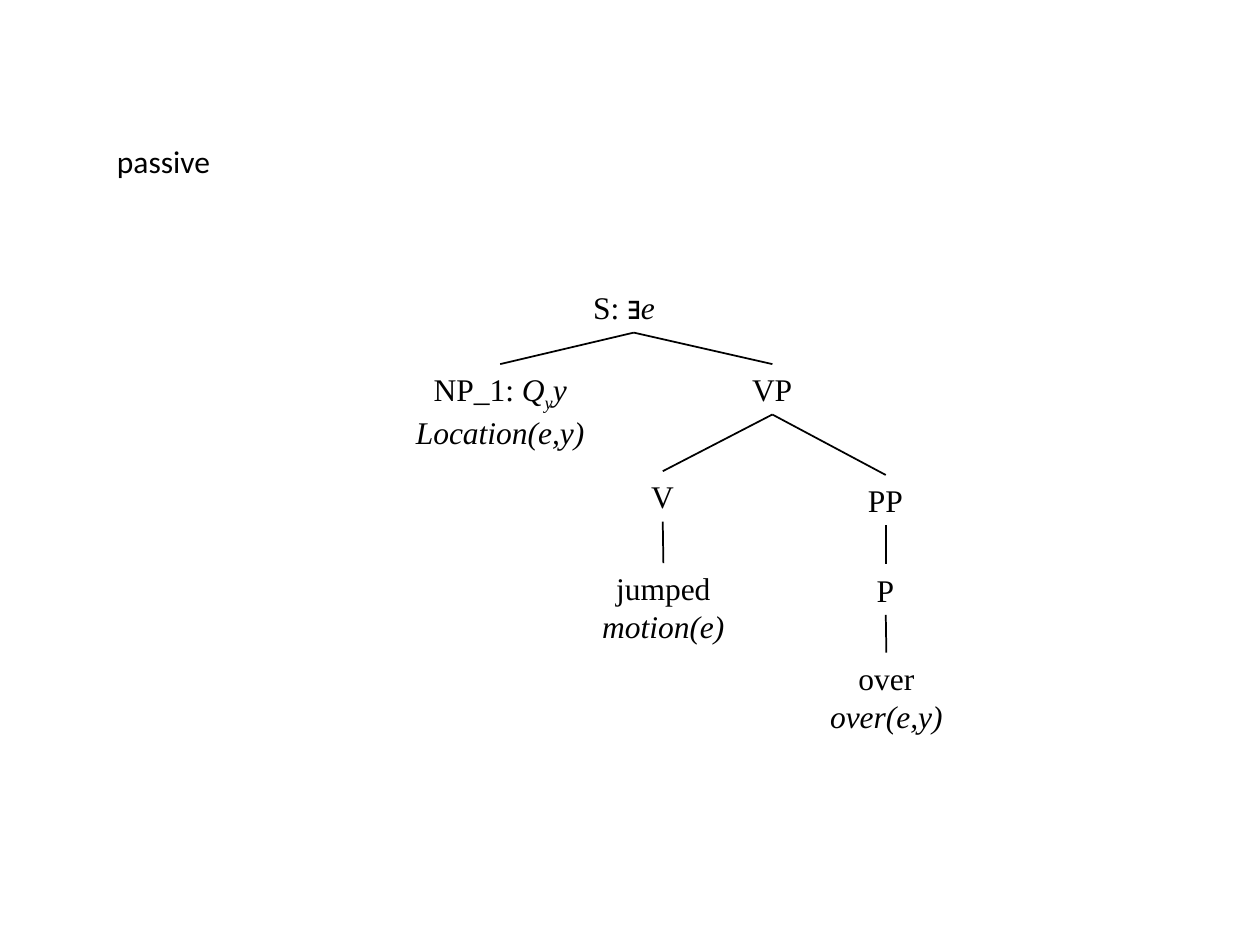
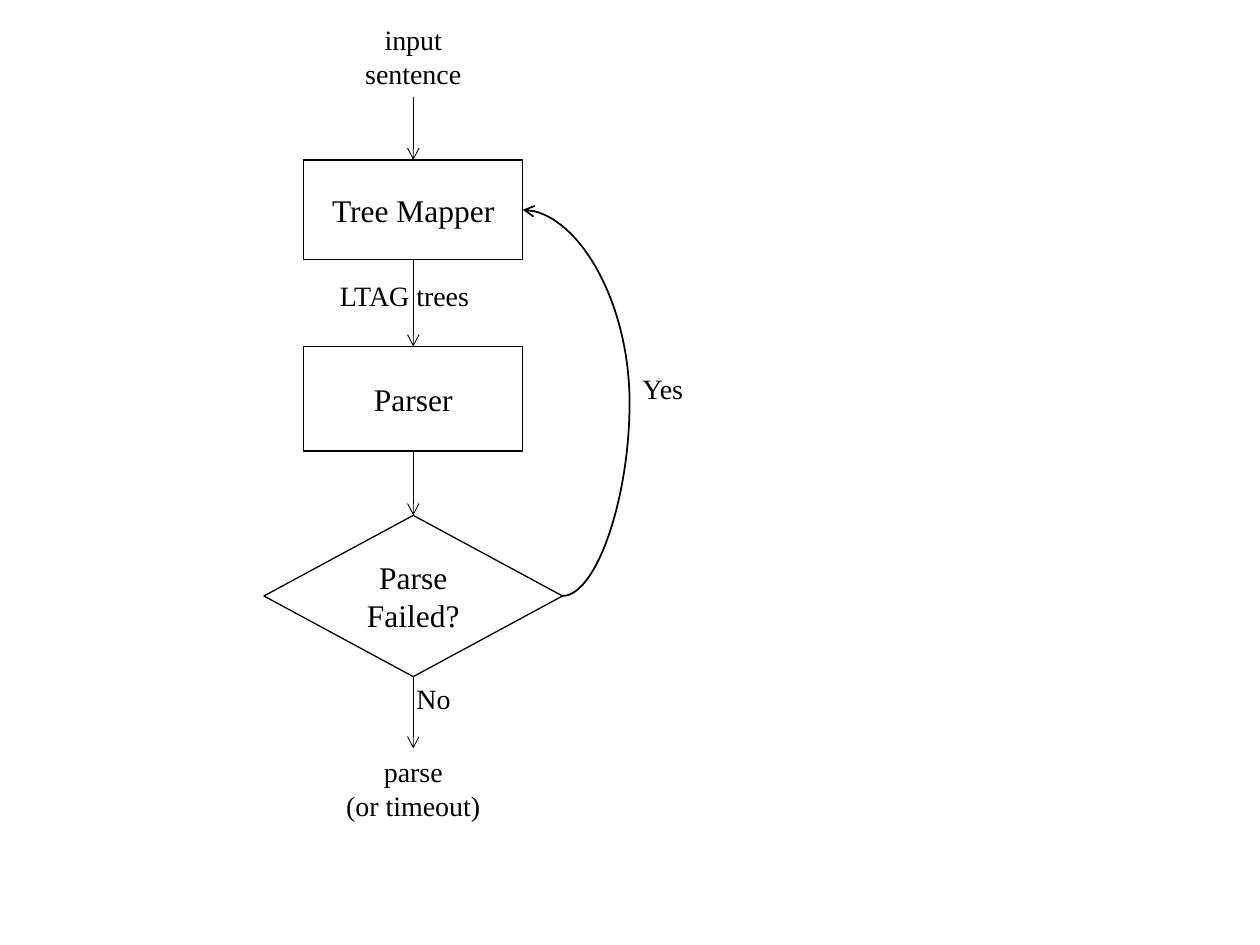
"""Builds a syntax tree slide and a parsing flowchart slide."""
from dataclasses import dataclass

import lxml.etree
import pptx
import pptx.dml.color
import pptx.enum.shapes
import pptx.enum.text
import pptx.oxml.ns
import pptx.shapes.autoshape
import pptx.shapes.connector
import pptx.slide
import pptx.util
from pptx.util import Inches

BLACK = "000000"
SERIF = "Times New Roman"
SANS = "Calibri"
LEFT = pptx.enum.text.PP_ALIGN.LEFT
CENTER = pptx.enum.text.PP_ALIGN.CENTER
RECTANGLE = pptx.enum.shapes.MSO_SHAPE.RECTANGLE
DIAMOND = pptx.enum.shapes.MSO_SHAPE.DIAMOND
STRAIGHT = pptx.enum.shapes.MSO_CONNECTOR.STRAIGHT
CURVE = pptx.enum.shapes.MSO_CONNECTOR.CURVE
TOP, SIDE_LEFT, BOTTOM, SIDE_RIGHT = range(4)
FLOW_AXIS = 3.28
Shape = pptx.shapes.autoshape.Shape
Connector = pptx.shapes.connector.Connector


@dataclass(frozen=True)
class Piece:
    """A stretch of text with one style."""
    text: str
    italic: bool = False
    baseline: int = 0


Paragraphs = tuple[tuple[Piece, ...], ...]


@dataclass(frozen=True)
class Label:
    """A text box with its place and paragraphs."""
    left: float
    top: float
    width: float
    height: float
    paragraphs: Paragraphs
    align: pptx.enum.text.PP_ALIGN = CENTER
    size: float = 18
    font: str = SERIF
    wrap: bool = False


@dataclass(frozen=True)
class Step:
    """A flowchart shape centred on the flow axis."""
    kind: pptx.enum.shapes.MSO_SHAPE
    top: float
    width: float
    height: float
    text: str


def plain(*lines: str) -> Paragraphs:
    """Return one upright paragraph for each line."""
    return tuple((Piece(line),) for line in lines)


def word(text: str, meaning: str) -> Paragraphs:
    """Return a word above its italic meaning."""
    return (Piece(text),), (Piece(meaning, italic=True),)


def color(value: str) -> pptx.dml.color.RGBColor:
    """Return the colour for a hex string."""
    return pptx.dml.color.RGBColor.from_string(value)


def write_text(shape: Shape, paragraphs: Paragraphs, *, size: float = 18, font: str = SERIF,
               align: pptx.enum.text.PP_ALIGN = CENTER, wrap: bool = True) -> None:
    """Fill a shape with formatted paragraphs."""
    frame = shape.text_frame
    frame.word_wrap = wrap
    for index, pieces in enumerate(paragraphs):
        paragraph = frame.add_paragraph() if index else frame.paragraphs[0]
        paragraph.alignment = align
        for piece in pieces:
            run = paragraph.add_run()
            run.text = piece.text
            run.font.name = font
            run.font.size = pptx.util.Pt(size)
            run.font.italic = piece.italic
            run.font.color.rgb = color(BLACK)
            if piece.baseline:
                run._r.get_or_add_rPr().set("baseline", str(piece.baseline * 1000))


def add_label(slide: pptx.slide.Slide, label: Label) -> Shape:
    """Draw a text box that fits its text."""
    shape = slide.shapes.add_textbox(Inches(label.left), Inches(label.top),
                                     Inches(label.width), Inches(label.height))
    write_text(shape, label.paragraphs, size=label.size, font=label.font,
               align=label.align, wrap=label.wrap)
    shape.text_frame.auto_size = pptx.enum.text.MSO_AUTO_SIZE.SHAPE_TO_FIT_TEXT
    return shape


def add_step(slide: pptx.slide.Slide, step: Step) -> Shape:
    """Draw an outlined flowchart step."""
    shape = slide.shapes.add_shape(step.kind, Inches(FLOW_AXIS - step.width / 2), Inches(step.top),
                                   Inches(step.width), Inches(step.height))
    shape.shadow.inherit = False
    shape.fill.background()
    shape.line.color.rgb = color(BLACK)
    shape.line.width = pptx.util.Pt(0.75)
    shape.text_frame.vertical_anchor = pptx.enum.text.MSO_ANCHOR.MIDDLE
    write_text(shape, plain(step.text))
    return shape


def join(slide: pptx.slide.Slide, start: Shape, end: Shape, *, sides: tuple[int, int] = (BOTTOM, TOP),
         kind: pptx.enum.shapes.MSO_CONNECTOR = STRAIGHT, width: float = 1,
         arrow: bool = False) -> Connector:
    """Connect two shapes with a line."""
    connector = slide.shapes.add_connector(kind, 0, 0, 0, 0)
    connector.begin_connect(start, sides[0])
    connector.end_connect(end, sides[1])
    connector.line.color.rgb = color(BLACK)
    connector.line.width = pptx.util.Pt(width)
    if arrow:
        lxml.etree.SubElement(connector.line._get_or_add_ln(),
                              pptx.oxml.ns.qn("a:tailEnd"), type="arrow")
    lxml.etree.SubElement(connector._element.spPr, pptx.oxml.ns.qn("a:effectLst"))
    return connector


def bend(connector: Connector, ratio: float) -> None:
    """Set how far a curved connector swings out."""
    guides = connector._element.spPr.find(".//" + pptx.oxml.ns.qn("a:avLst"))
    lxml.etree.SubElement(guides, pptx.oxml.ns.qn("a:gd"), name="adj1",
                          fmla=f"val {round(ratio * 100000)}")


def build_tree(slide: pptx.slide.Slide) -> None:
    """Draw the syntax tree of the passive sentence."""
    noun_phrase = ((Piece("NP_1: "), Piece("Q", True), Piece("y", True, -25), Piece("y", True)),
                   (Piece("Location(e,y)", True),))
    labels = {
        "S": Label(4.61, 2.24, 0.84, 0.4, ((Piece("S: ∃"), Piece("e", True)),), LEFT),
        "NP": Label(3.15, 2.89, 1.64, 0.71, noun_phrase),
        "VP": Label(5.87, 2.89, 0.52, 0.4, plain("VP"), LEFT),
        "V": Label(5.07, 3.74, 0.38, 0.4, plain("V"), LEFT),
        "PP": Label(6.79, 3.77, 0.48, 0.4, plain("PP"), LEFT),
        "P": Label(6.86, 4.48, 0.34, 0.4, plain("P"), LEFT),
        "jumped": Label(4.63, 4.47, 1.27, 0.71, word("jumped", "motion(e)")),
        "over": Label(6.44, 5.18, 1.19, 0.71, word("over", "over(e,y)")),
    }
    branches = (("S", "NP"), ("S", "VP"), ("VP", "V"), ("VP", "PP"),
                ("V", "jumped"), ("PP", "P"), ("P", "over"))
    nodes = {name: add_label(slide, label) for name, label in labels.items()}
    for parent, child in branches:
        join(slide, nodes[parent], nodes[child])
    add_label(slide, Label(0.83, 1.08, 0.95, 0.4, plain("passive"), LEFT, font=SANS))


def build_flowchart(slide: pptx.slide.Slide) -> None:
    """Draw the parsing loop from sentence to parse."""
    sentence = add_label(slide, Label(FLOW_AXIS - 0.485, 0.13, 0.97, 0.64,
                                      plain("input", "sentence"), size=16))
    mapper, parser, decision = (add_step(slide, step) for step in (
        Step(RECTANGLE, 1.27, 1.74, 0.79, "Tree Mapper"),
        Step(RECTANGLE, 2.75, 1.74, 0.83, "Parser"),
        Step(DIAMOND, 4.09, 2.37, 1.28, "Parse Failed?"),
    ))
    result = add_label(slide, Label(FLOW_AXIS - 0.64, 5.94, 1.28, 0.64,
                                    plain("parse", "(or timeout)"), size=16))
    stages = (sentence, mapper, parser, decision, result)
    for start, end in zip(stages, stages[1:]):
        join(slide, start, end, width=0.5, arrow=True)
    retry = join(slide, decision, mapper, sides=(SIDE_RIGHT, SIDE_RIGHT), kind=CURVE, arrow=True)
    bend(retry, -1.69)
    for left, top, width, text in ((2.34, 2.16, 1.74, "LTAG trees"),
                                   (3.1, 5.36, 0.68, "No"),
                                   (4.92, 2.9, 0.68, "Yes")):
        add_label(slide, Label(left, top, width, 0.37, plain(text), size=16, wrap=True))


def main() -> None:
    """Build and save the presentation."""
    presentation = pptx.Presentation()
    presentation.slide_width = Inches(10)
    presentation.slide_height = Inches(7.5)
    for build in (build_tree, build_flowchart):
        build(presentation.slides.add_slide(presentation.slide_layouts[6]))
    presentation.save("out.pptx")


if __name__ == "__main__":
    main()
